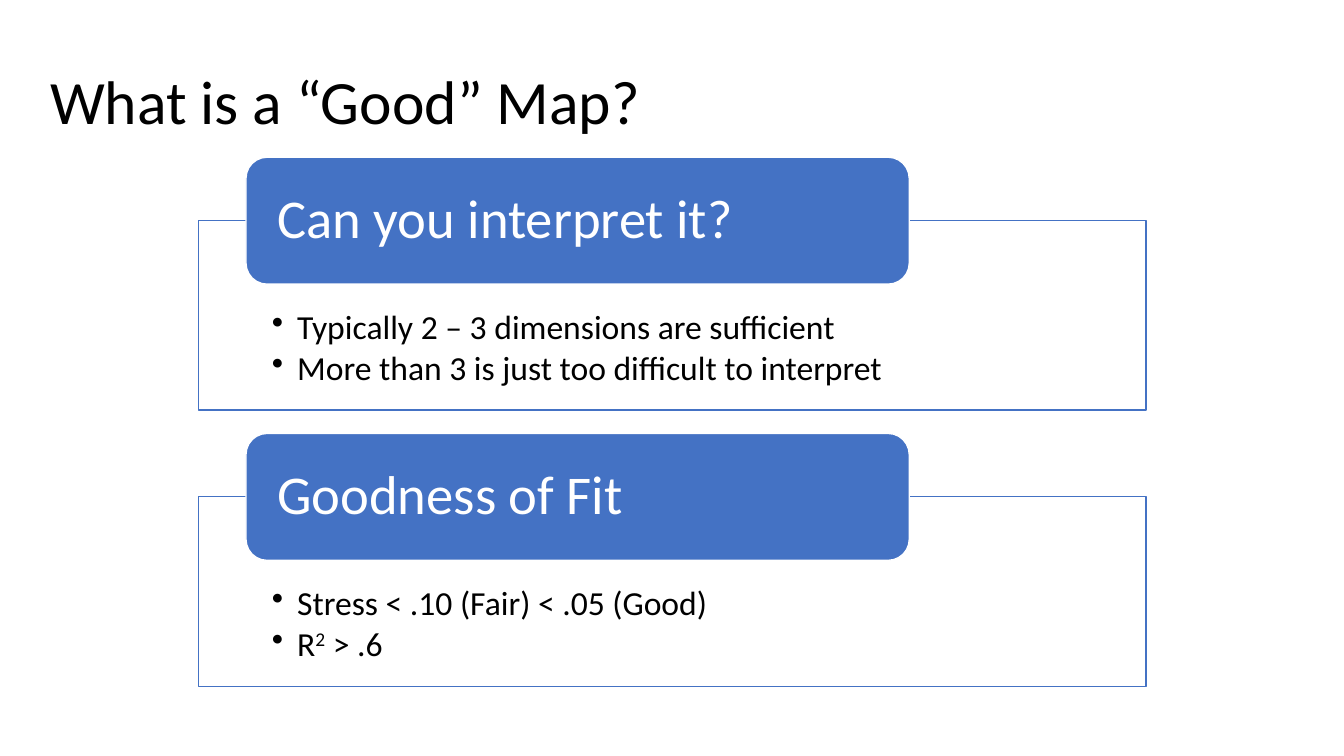
"""Build the slide on judging a good map, with two headed criteria panels."""
from dataclasses import dataclass

import pptx
import pptx.dml.color
import pptx.enum.shapes
import pptx.enum.text
import pptx.oxml
import pptx.oxml.ns
import pptx.util
import pptx.shapes.autoshape
import pptx.slide
import pptx.text.text

Pt = pptx.util.Pt
RGBColor = pptx.dml.color.RGBColor
Anchor = pptx.enum.text.MSO_ANCHOR
ShapeType = pptx.enum.shapes.MSO_SHAPE


@dataclass(frozen=True)
class Theme:
    font: str = "Calibri"
    accent: RGBColor = RGBColor(0x44, 0x72, 0xC4)
    light: RGBColor = RGBColor(0xFF, 0xFF, 0xFF)
    dark: RGBColor = RGBColor(0, 0, 0)
    title_size: float = 44
    heading_size: float = 39
    bullet_size: float = 24
    line_spacing: float = 0.9


@dataclass(frozen=True)
class Box:
    left: float
    top: float
    width: float
    height: float

    def lengths(self, down: float = 0) -> list[pptx.util.Length]:
        return [Pt(self.left), Pt(self.top + down), Pt(self.width), Pt(self.height)]


@dataclass(frozen=True)
class Bullet:
    text: str
    superscript: str = ""
    ending: str = ""


@dataclass(frozen=True)
class Panel:
    heading: str
    bullets: tuple[Bullet, ...]


THEME = Theme()
TITLE_BOX = Box(28.8, 18, 902.2, 84.2)
FRAME_BOX = Box(141.8, 157.5, 676.8, 135.4)
HEADING_BOX = Box(175.7, 112.3, 473.8, 90.7)
PANEL_PITCH = 197.3
BULLET_INDENT = 18
PANELS = (
    Panel("Can you interpret it?", (
        Bullet("Typically 2 – 3 dimensions are sufficient"),
        Bullet("More than 3 is just too difficult to interpret"),
    )),
    Panel("Goodness of Fit", (
        Bullet("Stress < .10 (Fair) < .05 (Good)"),
        Bullet("R", "2", " > .6"),
    )),
)


def set_up_frame(text_frame: pptx.text.text.TextFrame, anchor: Anchor,
                 side: float, top: float, bottom: float) -> None:
    text_frame.word_wrap = True
    text_frame.vertical_anchor = anchor
    text_frame.margin_left = text_frame.margin_right = Pt(side)
    text_frame.margin_top, text_frame.margin_bottom = Pt(top), Pt(bottom)


def format_paragraph(paragraph: pptx.text.text._Paragraph, size: float, color: RGBColor) -> None:
    paragraph.alignment = pptx.enum.text.PP_ALIGN.LEFT
    paragraph.line_spacing = THEME.line_spacing
    for run in paragraph.runs:
        run.font.name = THEME.font
        run.font.size = Pt(size)
        run.font.color.rgb = color


def add_block(slide: pptx.slide.Slide, kind: ShapeType, box: Box, down: float,
              fill: RGBColor, line: RGBColor) -> pptx.shapes.autoshape.Shape:
    shape = slide.shapes.add_shape(kind, *box.lengths(down))
    shape.shadow.inherit = False
    shape.fill.solid()
    shape.fill.fore_color.rgb = fill
    shape.line.color.rgb = line
    shape.line.width = Pt(1)
    return shape


def set_opacity(shape: pptx.shapes.autoshape.Shape, percent: int) -> None:
    color = shape.fill._xPr.find(".//" + pptx.oxml.ns.qn("a:srgbClr"))
    alpha = pptx.oxml.parse_xml(f'<a:alpha {pptx.oxml.ns.nsdecls("a")} val="{percent * 1000}"/>')
    color.append(alpha)


def write_bullet(paragraph: pptx.text.text._Paragraph, bullet: Bullet) -> None:
    properties = paragraph._p.get_or_add_pPr()
    properties.set("marL", str(Pt(BULLET_INDENT)))
    properties.set("indent", str(-Pt(BULLET_INDENT)))
    properties.append(pptx.oxml.parse_xml(f'<a:buChar {pptx.oxml.ns.nsdecls("a")} char="•"/>'))
    paragraph.text = bullet.text
    if bullet.superscript:
        raised = paragraph.add_run()
        raised.text = bullet.superscript
        raised._r.get_or_add_rPr().set("baseline", "30000")
        paragraph.add_run().text = bullet.ending
    paragraph.space_after = Pt(0.15 * THEME.bullet_size)
    format_paragraph(paragraph, THEME.bullet_size, THEME.dark)


def add_title(slide: pptx.slide.Slide, text: str) -> None:
    text_frame = slide.shapes.add_textbox(*TITLE_BOX.lengths()).text_frame
    set_up_frame(text_frame, Anchor.BOTTOM, 7.2, 3.6, 3.6)
    text_frame.text = text
    format_paragraph(text_frame.paragraphs[0], THEME.title_size, THEME.dark)


def add_panel(slide: pptx.slide.Slide, panel: Panel, down: float) -> None:
    frame = add_block(slide, ShapeType.RECTANGLE, FRAME_BOX, down, THEME.light, THEME.accent)
    set_opacity(frame, 90)
    set_up_frame(frame.text_frame, Anchor.TOP, 52.5, 64, 13.7)
    frame.text_frame.text = "\n".join(bullet.text for bullet in panel.bullets)
    for paragraph, bullet in zip(frame.text_frame.paragraphs, panel.bullets):
        write_bullet(paragraph, bullet)

    heading = add_block(slide, ShapeType.ROUNDED_RECTANGLE, HEADING_BOX, down,
                        THEME.accent, THEME.light)
    set_up_frame(heading.text_frame, Anchor.MIDDLE, 18, 0, 0)
    heading.text_frame.text = panel.heading
    format_paragraph(heading.text_frame.paragraphs[0], THEME.heading_size, THEME.light)


def main() -> None:
    presentation = pptx.Presentation()
    presentation.slide_width, presentation.slide_height = Pt(960), Pt(540)
    slide = presentation.slides.add_slide(presentation.slide_layouts[6])
    add_title(slide, "What is a “Good” Map?")
    for index, panel in enumerate(PANELS):
        add_panel(slide, panel, index * PANEL_PITCH)
    presentation.save("out.pptx")


if __name__ == "__main__":
    main()
